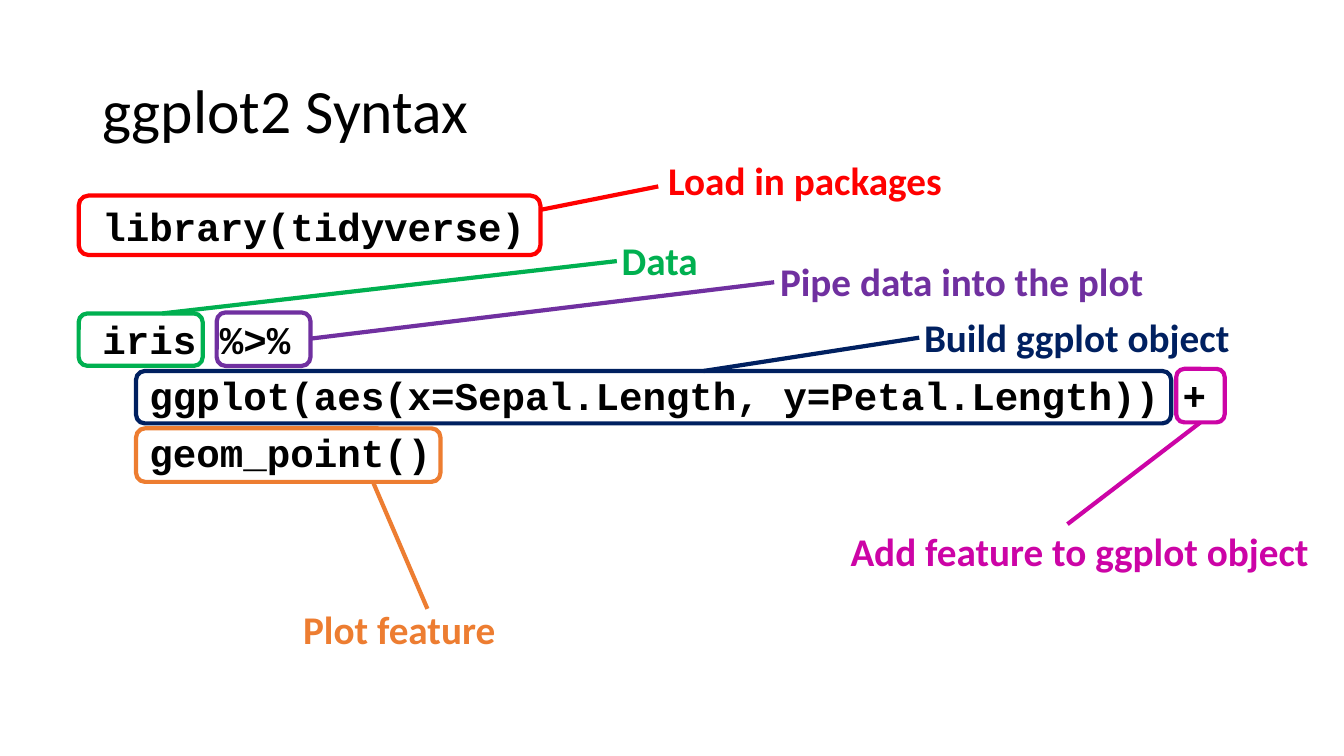
from dataclasses import dataclass

from lxml import etree
from pptx import Presentation
from pptx.dml.color import RGBColor
from pptx.enum import shapes, text
from pptx.oxml import ns
from pptx.util import Pt

CODE_LINES = [
    "library(tidyverse)",
    "iris %>%",
    "  ggplot(aes(x=Sepal.Length, y=Petal.Length)) +",
    "  geom_point()",
]
LINE_HEIGHT = 30.4
LINE_GAP = 10
LABEL_HEIGHT = 41
STROKE = 3


@dataclass
class Callout:
    """A framed piece of code, its leader line and its label, in points."""
    label: str
    color: str
    frame: tuple[float, float, float, float]
    leader: tuple[float, float, float, float]
    label_at: tuple[float, float, float]


CALLOUTS = [
    Callout("Load in packages", "FF0000", (56.2, 139.7, 329.8, 42.5),
            (386.6, 149.8, 470.2, 133.2), (470.2, 108, 252.7)),
    Callout("Data", "00B050", (56.2, 223.9, 88.6, 37.4),
            (115.9, 223.9, 440.6, 186.5), (437, 165.6, 82.1)),
    Callout("Pipe data into the plot", "7030A0", (154.8, 223.2, 67, 38.2),
            (221.8, 241.9, 553, 201.6), (550.1, 180, 353.5)),
    Callout("Build ggplot object", "002060", (97.2, 265, 739.4, 37.4),
            (502.6, 265, 656.6, 241.2), (653, 220.3, 263.5)),
    Callout("Add feature to ggplot object", "CC04A6", (840.2, 263.5, 34.6, 38.2),
            (857.5, 301.7, 762.5, 374.4), (600.5, 373, 355)),
    Callout("Plot feature", "ED7D31", (97.2, 306, 217.4, 38.2),
            (266.4, 344.2, 305.3, 434.9), (209.5, 429.1, 177.1)),
]


def rgb(color: str) -> RGBColor:
    return RGBColor.from_string(color)


def place(shape, left: float, top: float, width: float, height: float) -> None:
    shape.left, shape.top = Pt(left), Pt(top)
    shape.width, shape.height = Pt(width), Pt(height)


def style_runs(para, size: float, face: str, color: str, bold: bool) -> None:
    for span in para.runs:
        span.font.size = Pt(size)
        span.font.name = face
        span.font.bold = bold
        span.font.color.rgb = rgb(color)


def stroke(shape, color: str) -> None:
    shape.line.color.rgb = rgb(color)
    shape.line.width = Pt(STROKE)


def write_title(page) -> None:
    title = page.shapes.title
    place(title, 66, 28.8, 828, 104.4)
    frame = title.text_frame
    frame.text = "ggplot2 Syntax"
    frame.vertical_anchor = text.MSO_ANCHOR.MIDDLE
    frame.auto_size = text.MSO_AUTO_SIZE.NONE
    para = frame.paragraphs[0]
    para.alignment = text.PP_ALIGN.LEFT
    para.line_spacing = 0.9
    style_runs(para, 44, "Calibri", "000000", False)


def write_code(page) -> None:
    body = page.placeholders[1]
    place(body, 66, 144, 828, 342.7)
    frame = body.text_frame
    frame.auto_size = text.MSO_AUTO_SIZE.NONE
    frame.text = "\n".join(CODE_LINES)
    # The library call stands one line apart from the plot code
    gaps = [0, LINE_HEIGHT + 2 * LINE_GAP, LINE_GAP, LINE_GAP]
    for para, gap in zip(frame.paragraphs, gaps):
        para.line_spacing = Pt(LINE_HEIGHT)
        para.space_before = Pt(gap)
        props = para._p.get_or_add_pPr()
        props.set("marL", "0")
        props.set("indent", "0")
        etree.SubElement(props, ns.qn("a:buNone"))
        style_runs(para, 28, "Courier New", "000000", True)


def draw_callout(page, callout: Callout) -> None:
    # Frame around the code
    left, top, width, height = callout.frame
    frame = page.shapes.add_shape(shapes.MSO_SHAPE.ROUNDED_RECTANGLE,
                                  Pt(left), Pt(top), Pt(width), Pt(height))
    frame.shadow.inherit = False
    frame.fill.background()
    stroke(frame, callout.color)

    # Leader line
    leader = page.shapes.add_connector(shapes.MSO_CONNECTOR.STRAIGHT,
                                       *(Pt(value) for value in callout.leader))
    stroke(leader, callout.color)
    etree.SubElement(leader._element.spPr, ns.qn("a:effectLst"))

    # Label
    left, top, width = callout.label_at
    box = page.shapes.add_textbox(Pt(left), Pt(top), Pt(width), Pt(LABEL_HEIGHT))
    box.text_frame.word_wrap = True
    box.text_frame.text = callout.label
    style_runs(box.text_frame.paragraphs[0], 28, "Calibri", callout.color, True)


def main() -> None:
    deck = Presentation()
    deck.slide_width, deck.slide_height = Pt(960), Pt(540)
    page = deck.slides.add_slide(deck.slide_layouts[1])
    write_title(page)
    write_code(page)
    for callout in CALLOUTS:
        draw_callout(page, callout)
    deck.save("out.pptx")


if __name__ == "__main__":
    main()
